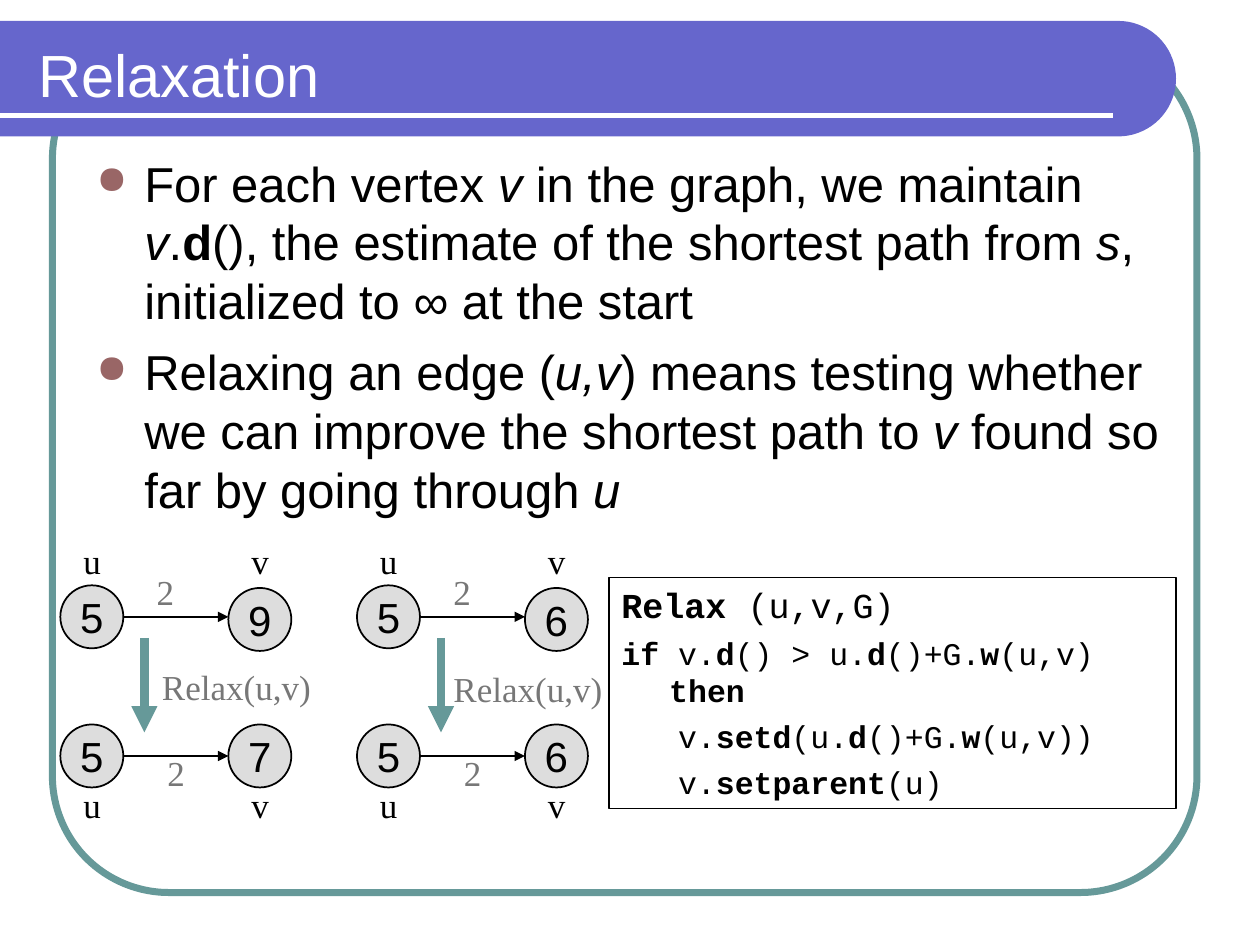
import math
from lxml import etree
from pptx import Presentation, util as u
from pptx.dml.color import RGBColor
from pptx.enum import shapes, text
from pptx.oxml import ns

HUE = dict(ink="000000", gray="777777", node="DDDDDD", teal="669999",
           band="6666CC", dot="996666", white="FFFFFF")
SANS, SERIF, MONO = "Arial", "Times New Roman", "Courier New"

TITLE = [[("Relaxation", "")]]
BODY = [
    [("For each vertex ", ""), ("v ", "i"), ("in the graph, we maintain ", ""),
     ("v", "i"), (".", ""), ("d", "b"),
     ("(), the estimate of the shortest path from ", ""), ("s", "i"),
     (", initialized to ∞ at the start", "")],
    [("Relaxing an edge (", ""), ("u,v", "i"),
     (") means testing whether we can improve the shortest path to ", ""),
     ("v", "i"), (" found so far by going through ", ""), ("u", "i")],
]
HEAD = [[("Relax ", "b"), ("(u,v,G)", "")]]
TEST = [[("if ", "b"), ("v.", ""), ("d", "b"), ("() > u.", ""), ("d", "b"),
         ("()+G.", ""), ("w", "b"), ("(u,v) ", ""), ("then", "b")]]
STEPS = [
    [("v.", ""), ("setd", "b"), ("(u.", ""), ("d", "b"), ("()+G.", ""),
     ("w", "b"), ("(u,v))", "")],
    [("v.", ""), ("setparent", "b"), ("(u)", "")],
]
PAIRS = [
    dict(top="59", low="57", call=(14.25, 62.75, 18)),
    dict(top="56", low="56", call=(13.75, 63, 17.6)),
]
NAMES = "uv"
COST = "2"
CALL = "Relax(u,v)"

deck = Presentation()
deck.slide_width, deck.slide_height = u.Inches(10), u.Inches(7.5)
UNIT = deck.slide_width / 120
slide = deck.slides.add_slide(deck.slide_layouts[6])
draw = slide.shapes


def grid(*cells):
    return [round(c * UNIT) for c in cells]


def tone(name):
    return RGBColor.from_string(HUE[name])


def write(frame, paras, size=20, font=SERIF, color="ink", before=0, left=0,
          hang=0, align=text.PP_ALIGN.LEFT, dot=False, more=False):
    for n, runs in enumerate(paras):
        para = frame.add_paragraph() if n or more else frame.paragraphs[0]
        para.alignment = align
        para.space_before = u.Pt(before)
        props = para._p.get_or_add_pPr()
        props.set("marL", str(u.Inches(left)))
        props.set("indent", str(-u.Inches(hang)))
        if dot:
            shade = etree.SubElement(props, ns.qn("a:buClr"))
            etree.SubElement(shade, ns.qn("a:srgbClr"), val=HUE["dot"])
            etree.SubElement(props, ns.qn("a:buSzPct"), val="80000")
            etree.SubElement(props, ns.qn("a:buChar"), char="●")
        for words, style in runs:
            run = para.add_run()
            run.text = words
            face = run.font
            face.size, face.name = u.Pt(size), font
            face.bold, face.italic = style == "b", style == "i"
            face.color.rgb = tone(color)


def box(cells, paras, anchor=text.MSO_ANCHOR.TOP, **form):
    frame = draw.add_textbox(*grid(*cells)).text_frame
    frame.word_wrap = True
    frame.vertical_anchor = anchor
    write(frame, paras, **form)


def label(x, y, wide, words, color="ink"):
    box((x, y, wide, 5.25), [[(words, "")]], color=color, before=12.5)


def paint(shape, fill=None, line=None, width=1):
    shape.shadow.inherit = False
    if fill:
        shape.fill.solid()
        shape.fill.fore_color.rgb = tone(fill)
    else:
        shape.fill.background()
    if line:
        shape.line.color.rgb = tone(line)
        shape.line.width = u.Pt(width)
    else:
        shape.line.fill.background()
    return shape


def rule(x, y, right, low, color="ink", width=1, tip=True):
    line = draw.add_connector(shapes.MSO_CONNECTOR.STRAIGHT,
                              *grid(x, y, right, low))
    line.line.color.rgb = tone(color)
    line.line.width = u.Pt(width)
    if tip:
        etree.SubElement(line.line._get_or_add_ln(), ns.qn("a:tailEnd"),
                         type="triangle")
    etree.SubElement(line._element.spPr, ns.qn("a:effectLst"))


def node(x, y, value):
    disc = paint(draw.add_shape(shapes.MSO_SHAPE.OVAL, *grid(x, y, 6, 6)),
                 "node", "ink")
    frame = disc.text_frame
    frame.word_wrap = False
    frame.vertical_anchor = text.MSO_ANCHOR.MIDDLE
    write(frame, [[(value, "")]], size=24, font=SANS,
          align=text.PP_ALIGN.CENTER)


def pair(left, top, low, call):
    for n, name in enumerate(NAMES):
        x = left + 5.75 + 16 * n
        node(x, 55.75 + 0.25 * n, top[n])
        node(x, 69, low[n])
        for y in (50.75, 74):
            label(x + 1, y, 4, name)
    for y in (58.75, 72):
        rule(left + 11.75, y, left + 21.75, y)
    label(left + 13.75, 53.75, 6, COST, "gray")
    label(left + 14.75, 71, 4, COST, "gray")
    rule(left + 13.75, 60.75, left + 13.75, 69.75, "teal", 5)
    x, y, wide = call
    label(left + x, y, wide, CALL, "gray")


edge = paint(draw.add_shape(shapes.MSO_SHAPE.ROUNDED_RECTANGLE,
                            *grid(5, 4, 109, 81)), None, "teal", 4)
edge.adjustments[0] = 0.137

arc = [math.radians(a) for a in range(-90, 91, 5)]
cap = [(106.5 + 5.5 * math.cos(a), 7.5 + 5.5 * math.sin(a)) for a in arc]
path = draw.build_freeform(0, 2, scale=UNIT)
pen = draw.build_freeform(*grid(0, 2))
pen.add_line_segments([grid(*p) for p in cap + [(0, 13)]], close=True)
paint(pen.convert_to_shape(), "band")
rule(0, 11, 106, 11, "white", 3, tip=False)

box((2.5, 3, 105.25, 8), TITLE, anchor=text.MSO_ANCHOR.MIDDLE,
    size=34, font=SANS, color="white")
box((8, 14, 104, 40.25), BODY, size=28, font=SANS, before=7,
    left=0.38, hang=0.38, dot=True)

for n, data in enumerate(PAIRS):
    pair(28.25 * n, **data)

code = paint(draw.add_shape(shapes.MSO_SHAPE.RECTANGLE,
                            *grid(58, 55, 54, 22)), None, "ink").text_frame
code.word_wrap = True
code.vertical_anchor = text.MSO_ANCHOR.TOP
write(code, HEAD, font=MONO, before=5, left=0.38, hang=0.38,
      align=text.PP_ALIGN.JUSTIFY)
write(code, TEST, size=18, font=MONO, before=4.5, left=0.38, hang=0.38,
      more=True)
write(code, STEPS, size=18, font=MONO, before=4.5, left=0.45, more=True)

deck.save("out.pptx")
